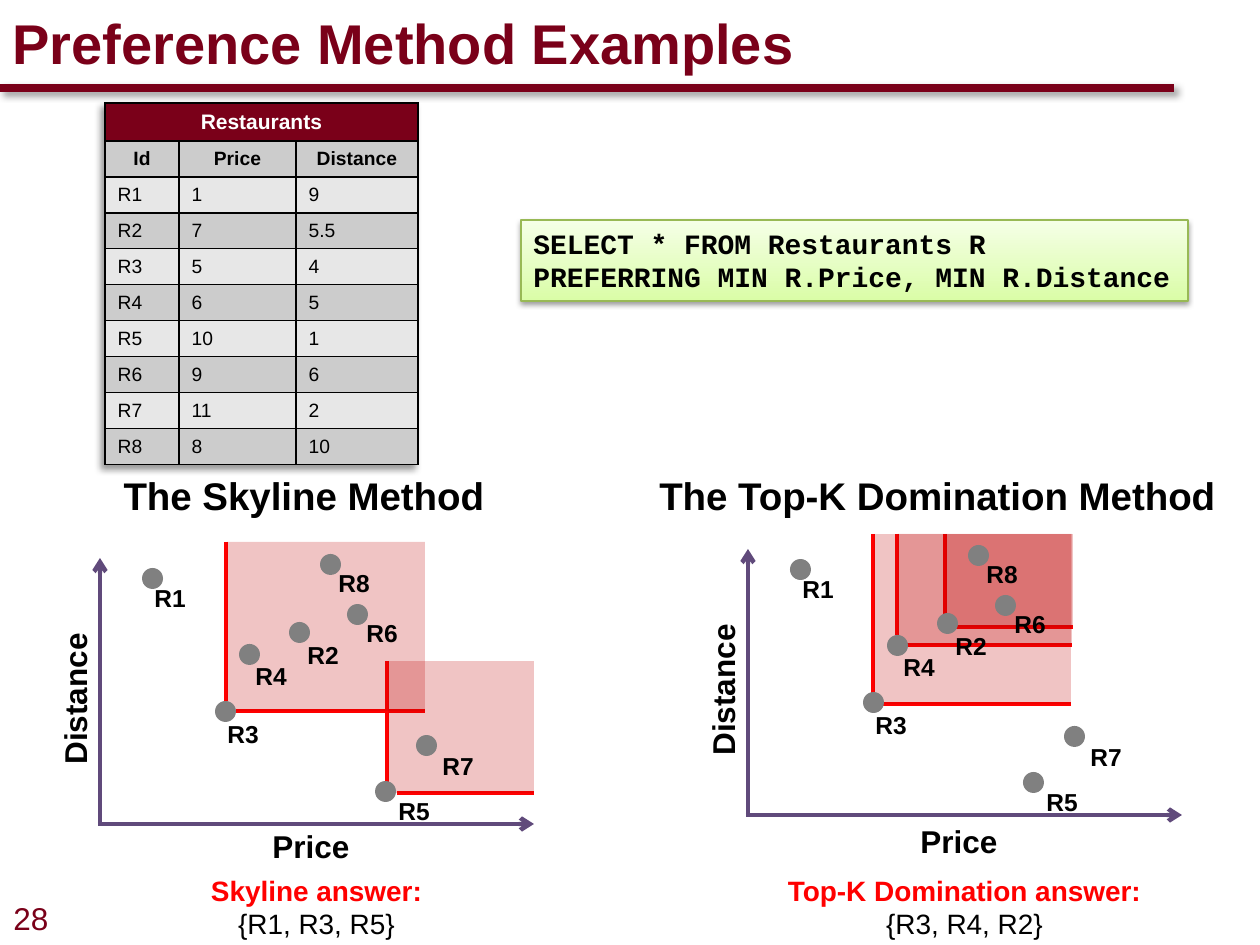
from lxml.etree import SubElement
from pptx import Presentation
from pptx.dml.color import RGBColor
from pptx.enum.shapes import MSO_CONNECTOR, MSO_SHAPE
from pptx.enum.text import MSO_ANCHOR, MSO_AUTO_SIZE, PP_ALIGN
from pptx.oxml import parse_xml
from pptx.oxml.ns import nsdecls, qn
from pptx.util import Emu, Pt

MAROON = RGBColor(0x7A, 0x00, 0x19)
BLACK = RGBColor(0, 0, 0)
WHITE = RGBColor(255, 255, 255)
RED = RGBColor(255, 0, 0)
ZONE = RGBColor(0xC0, 0, 0)
PURPLE = RGBColor(0x60, 0x4A, 0x7B)
GRAY = RGBColor(0x80, 0x80, 0x80)
DARK_BAND = RGBColor(0xCC, 0xCC, 0xCC)
LIGHT_BAND = RGBColor(0xE7, 0xE7, 0xE7)
GREEN = RGBColor(0xDA, 0xFD, 0xA7)
PALE_GREEN = RGBColor(0xF5, 0xFF, 0xE7)
GREEN_EDGE = RGBColor(0x98, 0xB9, 0x55)

QUERY = ["SELECT * FROM Restaurants R", "PREFERRING MIN R.Price, MIN R.Distance"]
HEADER = ("Id", "Price", "Distance")
RESTAURANTS = [
    ("R1", "1", "9"), ("R2", "7", "5.5"), ("R3", "5", "4"), ("R4", "6", "5"),
    ("R5", "10", "1"), ("R6", "9", "6"), ("R7", "11", "2"), ("R8", "8", "10"),
]
COL_WIDTHS = (74, 117, 122)
ROW_HEIGHT = 36
DOT = 21
POINTS = [
    ("R1", 142, 568, 0, 9), ("R2", 289, 622, 6, 12), ("R3", 215, 701, 0, 12),
    ("R4", 239, 644, 4, 11), ("R5", 375, 781, 11, 9), ("R6", 347, 604, 7, 8),
    ("R7", 416, 735, 14, 10), ("R8", 320, 554, 6, 8),
]
PLOTS = [
    {"shift": (0, 0), "price_top": 821,
     "heading": ("The Skyline Method", 110, 388),
     "answer": ("Skyline answer:", "{R1, R3, R5}", 81, 471),
     "zones": [(387, 793, 534, 661), (226, 711, 425, 542)]},
    {"shift": (648, -9), "price_top": 816,
     "heading": ("The Top-K Domination Method", 625, 625),
     "answer": ("Top-K Domination answer:", "{R3, R4, R2}", 660, 609),
     "zones": [(945, 627, 1073, 534), (897, 645, 1072, 534), (873, 704, 1071, 534)]},
]


def px(v):
    return Emu(round(v * 914400 / 126))


def box(*lengths):
    return [px(v) for v in lengths]


def shadow_xml(alpha, blur, dist, angle):
    return parse_xml(
        f'<a:effectLst {nsdecls("a")}><a:outerShdw blurRad="{round(blur * 12700)}" '
        f'dist="{round(dist * 12700)}" dir="{angle * 60000}" algn="tl" rotWithShape="0">'
        f'<a:srgbClr val="000000"><a:alpha val="{alpha * 1000}"/></a:srgbClr>'
        '</a:outerShdw></a:effectLst>')


def write(tf, lines, size, color=BLACK, bold=True, align=PP_ALIGN.LEFT, font="Arial"):
    for i, line in enumerate(lines):
        p = tf.paragraphs[0] if i == 0 else tf.add_paragraph()
        p.text = line
        p.alignment = align
        p.font.name, p.font.size, p.font.bold = font, Pt(size), bold
        p.font.color.rgb = color


def label(s, at, lines, size, wrap=True, grow=True, **style):
    tb = s.shapes.add_textbox(*box(*at))
    tf = tb.text_frame
    tf.word_wrap = wrap
    tf.auto_size = MSO_AUTO_SIZE.SHAPE_TO_FIT_TEXT if grow else MSO_AUTO_SIZE.NONE
    write(tf, lines, size, **style)
    return tb


def line(s, ends, color, width, arrow=False, shadow=None):
    c = s.shapes.add_connector(MSO_CONNECTOR.STRAIGHT, *box(*ends))
    c.line.color.rgb = color
    c.line.width = Pt(width)
    sp_pr = c._element.spPr
    if arrow:
        SubElement(sp_pr.find(qn("a:ln")), qn("a:tailEnd"), type="arrow")
    if shadow is None:
        SubElement(sp_pr, qn("a:effectLst"))
    else:
        sp_pr.append(shadow)


def solid(s, kind, at, color, alpha=None):
    sp = s.shapes.add_shape(kind, *box(*at))
    sp.shadow.inherit = False
    sp.fill.solid()
    sp.fill.fore_color.rgb = color
    sp.line.fill.background()
    if alpha:
        clr = sp._element.spPr.find(".//" + qn("a:srgbClr"))
        SubElement(clr, qn("a:alpha"), val=str(alpha * 1000))


def fill_cell(cell, text, size, fill, color=BLACK, bold=False, align=PP_ALIGN.LEFT):
    cell.fill.solid()
    cell.fill.fore_color.rgb = fill
    cell.vertical_anchor = MSO_ANCHOR.MIDDLE
    write(cell.text_frame, [text], size, color, bold, align)
    tc_pr = cell._tc.get_or_add_tcPr()
    for i, side in enumerate(("lnL", "lnR", "lnT", "lnB")):
        tc_pr.insert(i, parse_xml(
            f'<a:{side} {nsdecls("a")} w="12700"><a:solidFill>'
            f'<a:srgbClr val="{BLACK}"/></a:solidFill></a:{side}>'))


def restaurant_table(s):
    rows = [("Restaurants", "", ""), HEADER] + RESTAURANTS
    frame = s.shapes.add_table(
        len(rows), 3, *box(105, 103, sum(COL_WIDTHS), ROW_HEIGHT * len(rows)))
    table = frame.table
    table._tbl.tblPr.insert(0, shadow_xml(40, 4, 3, 135))
    for col, width in zip(table.columns, COL_WIDTHS):
        col.width = px(width)
    for r, values in enumerate(rows):
        table.rows[r].height = px(ROW_HEIGHT)
        for c, text in enumerate(values):
            cell = table.cell(r, c)
            if r == 0:
                fill_cell(cell, text, 12, MAROON, WHITE, True, PP_ALIGN.CENTER)
            elif r == 1:
                fill_cell(cell, text, 11, DARK_BAND, BLACK, True, PP_ALIGN.CENTER)
            else:
                fill_cell(cell, text, 11, DARK_BAND if r % 2 else LIGHT_BAND)
    table.cell(0, 0).merge(table.cell(0, 2))


def query_box(s):
    sp = s.shapes.add_shape(MSO_SHAPE.RECTANGLE, *box(521, 220, 667, 81))
    sp.fill.gradient()
    sp.fill.gradient_angle = 90
    for stop, color, pos in zip(sp.fill.gradient_stops, (GREEN, PALE_GREEN), (0, 1)):
        stop.color.rgb = color
        stop.position = pos
    sp.line.color.rgb = GREEN_EDGE
    sp.line.width = Pt(0.75)
    sp._element.spPr.append(shadow_xml(38, 3.1, 1.6, 90))
    tf = sp.text_frame
    tf.word_wrap = True
    tf.vertical_anchor = MSO_ANCHOR.TOP
    write(tf, QUERY, 16, font="Courier New")


def plot(s, data):
    dx, dy = data["shift"]
    center = PP_ALIGN.CENTER
    for x, y, right, top in data["zones"]:
        line(s, (x, top, x, y - 10), RED, 2)
        line(s, (right, y, x + 10, y), RED, 2)
    for x, y, right, top in data["zones"]:
        solid(s, MSO_SHAPE.RECTANGLE, (x + 1, top, right - x - 1, y - top), ZONE, 23)
    line(s, (98 + dx, 824 + dy, 534 + dx, 824 + dy), PURPLE, 2.5, arrow=True)
    line(s, (100 + dx, 825 + dy, 100 + dx, 558 + dy), PURPLE, 2.5, arrow=True)
    label(s, (101 + dx, data["price_top"], 420, 50), ["Price"], 18, align=center)
    tb = label(s, (-50 + dx, 674 + dy, 249, 50), ["Distance"], 18, align=center)
    tb.rotation = 270
    for name, x, y, lx, ly in POINTS:
        solid(s, MSO_SHAPE.FLOWCHART_CONNECTOR, (x + dx, y + dy, DOT, DOT), GRAY)
        label(s, (x + lx + dx, y + ly + dy, 64, 43), [name], 14)
    heading, left, width = data["heading"]
    label(s, (left, 466, width, 59), [heading], 22, align=center)
    title, answer, left, width = data["answer"]
    tb = label(s, (left, 867, width, 81), [title, answer], 16, align=center)
    tb.text_frame.paragraphs[0].font.color.rgb = RED
    tb.text_frame.paragraphs[1].font.bold = False


def main():
    prs = Presentation()
    prs.slide_width, prs.slide_height = box(1260, 945)
    s = prs.slides.add_slide(prs.slide_layouts[6])
    label(s, (1, 893, 64, 50), ["28"], 18, wrap=False, color=MAROON, bold=False)
    line(s, (-1, 88, 1174, 88), MAROON, 4.5, shadow=shadow_xml(40, 4, 3, 45))
    title = label(s, (0, 0, 1260, 84), ["Preference Method Examples"], 32,
                  grow=False, color=MAROON)
    title.text_frame.vertical_anchor = MSO_ANCHOR.MIDDLE
    restaurant_table(s)
    query_box(s)
    for data in PLOTS:
        plot(s, data)
    prs.save("out.pptx")


if __name__ == "__main__":
    main()
